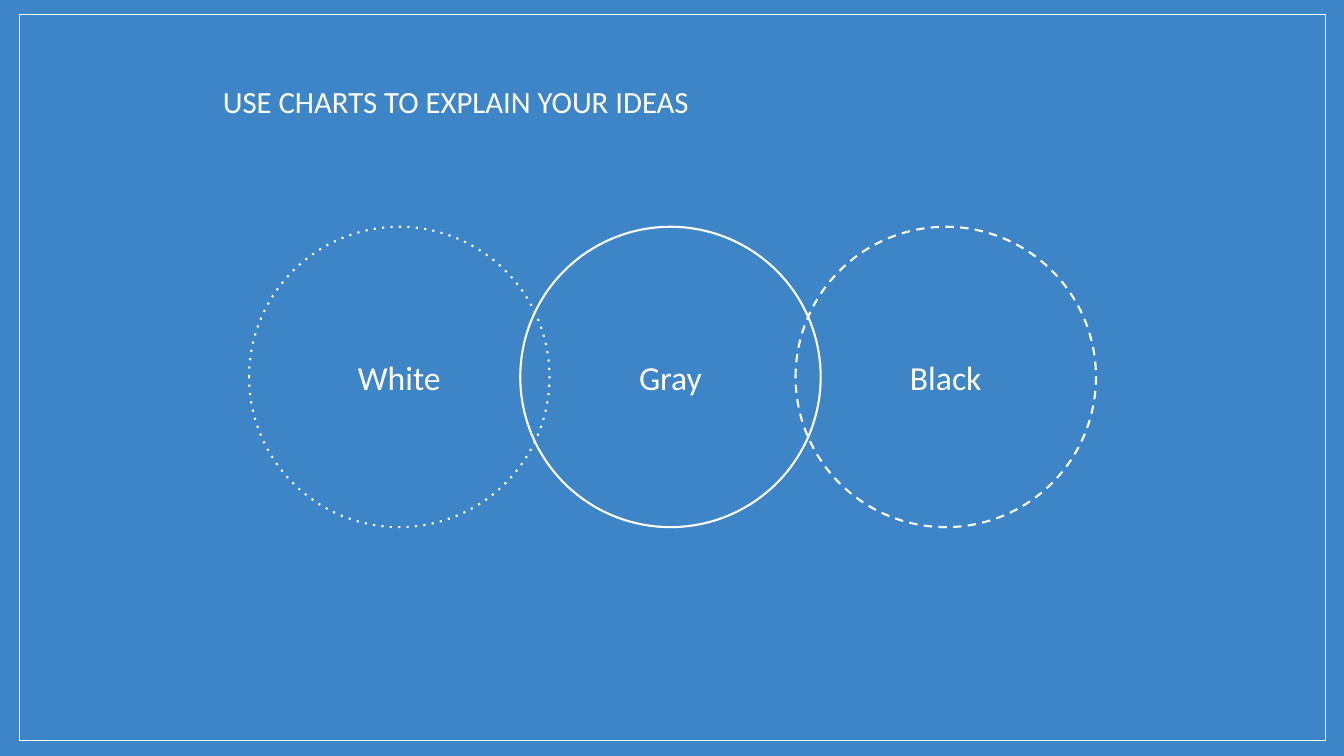
from lxml import etree
from pptx import Presentation
from pptx.dml.color import RGBColor
from pptx.enum.shapes import MSO_SHAPE
from pptx.enum.text import MSO_ANCHOR, MSO_AUTO_SIZE, PP_ALIGN
from pptx.oxml.ns import qn
from pptx.util import Inches, Pt

RECT, OVAL = MSO_SHAPE.RECTANGLE, MSO_SHAPE.OVAL
TOP, MIDDLE = MSO_ANCHOR.TOP, MSO_ANCHOR.MIDDLE
LEFT, CENTER = PP_ALIGN.LEFT, PP_ALIGN.CENTER

TITLE = "USE CHARTS TO EXPLAIN YOUR IDEAS"
# Label, left edge, dash; the middle circle lies at the back
CIRCLES = [
    ("Gray", 5.16, None),
    ("White", 2.47, "dot"),
    ("Black", 7.89, "dash"),
]
CIRCLE_TOP, DIAMETER = 2.25, 2.98
FRAME = (0.19, 0.14, 12.96, 7.21)
TITLE_BOX = (2.11, 0.72, 9, 0.6)
FONT, BLUE, WHITE = "Calibri", "3D85C6", "FFFFFF"


def color(value):
    return RGBColor.from_string(value)


def add_outline(slide, kind, box, width, dash=None):
    s = slide.shapes.add_shape(kind, *map(Inches, box))
    s.shadow.inherit = False
    s.fill.background()
    s.line.color.rgb = color(WHITE)
    s.line.width = Pt(width)
    if dash:
        ln = s.element.spPr.find(qn("a:ln"))
        etree.SubElement(ln, qn("a:prstDash")).set("val", dash)
    return s


def write(s, text, size, align, anchor):
    tf = s.text_frame
    tf.text = text
    tf.word_wrap = True
    tf.auto_size = MSO_AUTO_SIZE.NONE
    tf.vertical_anchor = anchor
    tf.margin_left = tf.margin_right = Inches(0.1)
    tf.margin_top = tf.margin_bottom = Inches(0.1)
    p = tf.paragraphs[0]
    p.alignment = align
    font = p.runs[0].font
    font.name, font.size = FONT, Pt(size)
    font.color.rgb = color(WHITE)


def main():
    prs = Presentation()
    prs.slide_width, prs.slide_height = Inches(13.33), Inches(7.5)
    slide = prs.slides.add_slide(prs.slide_layouts[5])
    slide.background.fill.solid()
    slide.background.fill.fore_color.rgb = color(BLUE)

    title = slide.shapes.title
    title.left, title.top, title.width, title.height = map(Inches, TITLE_BOX)
    write(title, TITLE, 22, LEFT, TOP)

    add_outline(slide, RECT, FRAME, 0.75)
    for label, left, dash in CIRCLES:
        box = (left, CIRCLE_TOP, DIAMETER, DIAMETER)
        s = add_outline(slide, OVAL, box, 1.5, dash)
        write(s, label, 24, CENTER, MIDDLE)

    prs.save("out.pptx")


if __name__ == "__main__":
    main()
